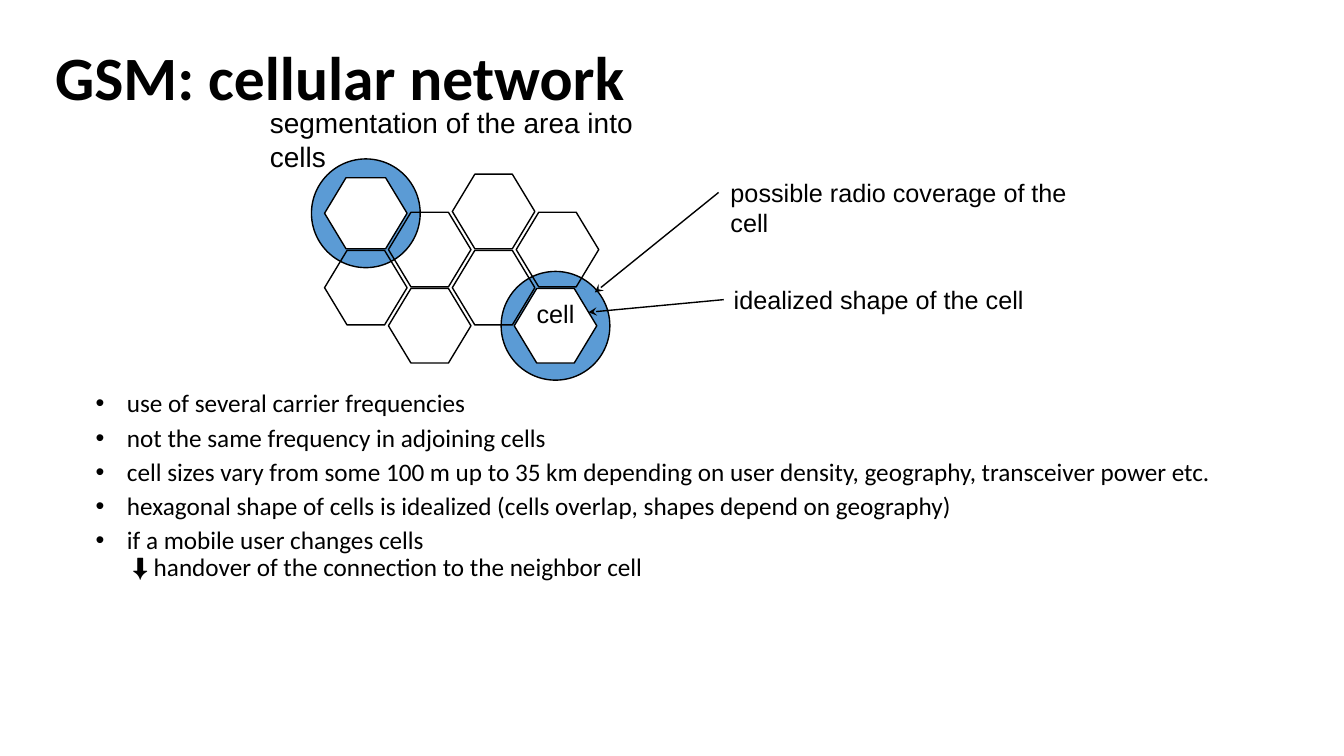
import pptx
import pptx.util
import pptx.dml.color
import pptx.enum.shapes
import pptx.enum.text
import pptx.oxml
import pptx.oxml.ns

Cm = pptx.util.Cm
Pt = pptx.util.Pt
SHAPE = pptx.enum.shapes.MSO_SHAPE
ALIGN = pptx.enum.text.PP_ALIGN
ANCHOR = pptx.enum.text.MSO_ANCHOR
AUTO = pptx.enum.text.MSO_AUTO_SIZE
NS = pptx.oxml.ns.nsdecls("a")

COLORS = {"ink": "000000", "cell": "FFFFFF", "coverage": "5B9BD5"}
TITLE_FONT = {"name": "Calibri", "size": Pt(44), "bold": True}
BODY_FONT = {"name": "Calibri", "size": Pt(18)}
LABEL_FONT = {"name": "Arial", "size": Pt(18)}
CAPTION_FONT = {"name": "Arial", "size": Pt(20)}

CELL_W, CELL_H = 2.08, 1.88
COL_STEP, ROW_STEP = 1.61, 1.92
COVERAGE = 2.74
COVERED_CELLS = [
    {"col": 3, "row": 1, "nudge": -0.05, "trim": 0, "label": "cell"},
    {"col": 0, "row": 0, "nudge": 0, "trim": 0.09, "label": None},
]
PLAIN_CELLS = [(1, 0), (0, 1), (2, 0), (2, 1), (3, 0), (1, 1)]

BULLETS = [
    "use of several carrier frequencies",
    "not the same frequency in adjoining cells",
    "cell sizes vary from some 100 m up to 35 km depending on user density, "
    "geography, transceiver power etc.",
    "hexagonal shape of cells is idealized (cells overlap, shapes depend on geography)",
    "if a mobile user changes cells\n ⬇ handover of the connection to the neighbor cell",
]


def rgb(name):
    return pptx.dml.color.RGBColor.from_string(COLORS[name])


def assign(obj, values):
    for key, value in values.items():
        setattr(obj, key, value)


def write(p, text, font):
    p.text = text
    for r in p.runs:
        assign(r.font, font)
        r.font.color.rgb = rgb("ink")


def add_text(s, box, text, font, para=None, frame=None):
    sp = s.shapes.add_textbox(*map(Cm, box))
    tf = sp.text_frame
    assign(tf, {"word_wrap": True, "auto_size": AUTO.SHAPE_TO_FIT_TEXT, **(frame or {})})
    p = tf.paragraphs[0]
    write(p, text, font)
    assign(p, para or {})
    return sp


def add_outlined(s, kind, box, fill=None):
    sp = s.shapes.add_shape(kind, *map(Cm, box))
    sp.shadow.inherit = False
    if fill:
        sp.fill.solid()
        sp.fill.fore_color.rgb = rgb(fill)
    else:
        sp.fill.background()
    sp.line.color.rgb = rgb("ink")
    sp.line.width = Pt(1)
    return sp


def add_cell(s, box, fill=None):
    sp = add_outlined(s, SHAPE.HEXAGON, box, fill)
    sp.adjustments[0] = 0.302


def add_arrow(s, start, end):
    cn = s.shapes.add_connector(
        pptx.enum.shapes.MSO_CONNECTOR.STRAIGHT, *map(Cm, (*start, *end)))
    cn.line.color.rgb = rgb("ink")
    cn.line.width = Pt(1)
    cn.line._get_or_add_ln().append(
        pptx.oxml.parse_xml(f'<a:tailEnd {NS} type="stealth"/>'))
    cn._element.spPr.append(pptx.oxml.parse_xml(f"<a:effectLst {NS}/>"))
    return cn


def cell_origin(left, top, col, row):
    return left + col * COL_STEP, top + (row + col % 2 / 2) * ROW_STEP


def draw_network(s, left, top):
    for cell in COVERED_CELLS:
        x, y = cell_origin(left, top, cell["col"], cell["row"])
        x, y, h = x + cell["nudge"], y + cell["trim"], CELL_H - cell["trim"]
        cx, cy = x + CELL_W / 2, y + h / 2
        add_outlined(s, SHAPE.OVAL, (cx - COVERAGE / 2, cy - COVERAGE / 2,
                                     COVERAGE, COVERAGE), "coverage")
        add_cell(s, (x, y, CELL_W, h), "cell")
        if cell["label"]:
            add_text(s, (cx - 0.93, y + 0.12, 1.86, 0.86), cell["label"],
                     LABEL_FONT, {"alignment": ALIGN.CENTER})
    for col, row in PLAIN_CELLS:
        add_cell(s, (*cell_origin(left, top, col, row), CELL_W, CELL_H))


def draw_callouts(s, left, top):
    add_text(s, (left, top, 9.68, 1.8), "possible radio coverage of the cell", LABEL_FONT)
    shape_label = add_text(s, (left + 0.08, top + 2.7, 10.67, 1.02),
                           "idealized shape of the cell", LABEL_FONT)
    add_arrow(s, (left - 0.05, top + 0.51), (left - 3.17, top + 3.03))
    arrow = add_arrow(s, (left + 0.08, top + 3.21), (left - 3.33, top + 3.53))
    arrow.begin_connect(shape_label, 1)


def draw_title(s, box):
    add_text(s, box, "GSM: cellular network", TITLE_FONT, {"line_spacing": 0.9},
             {"auto_size": AUTO.NONE, "vertical_anchor": ANCHOR.MIDDLE})


def draw_bullets(s, box):
    sp = s.shapes.add_textbox(*map(Cm, box))
    tf = sp.text_frame
    tf.word_wrap = True
    for i, text in enumerate(BULLETS):
        p = tf.add_paragraph() if i else tf.paragraphs[0]
        pPr = p._p.get_or_add_pPr()
        pPr.set("marL", str(Cm(0.79)))
        pPr.set("indent", str(Cm(-0.79)))
        for xml in (f'<a:buFont {NS} typeface="Arial"/>', f'<a:buChar {NS} char="•"/>'):
            pPr.append(pptx.oxml.parse_xml(xml))
        assign(p, {"line_spacing": 0.9, "space_before": Pt(5 if i else 0)})
        write(p, text, BODY_FONT)


def main():
    prs = pptx.Presentation()
    assign(prs, {"slide_width": Cm(33.87), "slide_height": Cm(19.05)})
    s = prs.slides.add_slide(prs.slide_layouts[6])
    draw_network(s, 8.18, 4.39)
    draw_callouts(s, 18.16, 4.34)
    add_text(s, (6.55, 2.54, 11.23, 1.12), "segmentation of the area into cells", CAPTION_FONT)
    draw_title(s, (1.14, 0.97, 31.55, 2.11))
    draw_bullets(s, (2.16, 9.73, 29.82, 7.19))
    prs.save("out.pptx")


if __name__ == "__main__":
    main()
